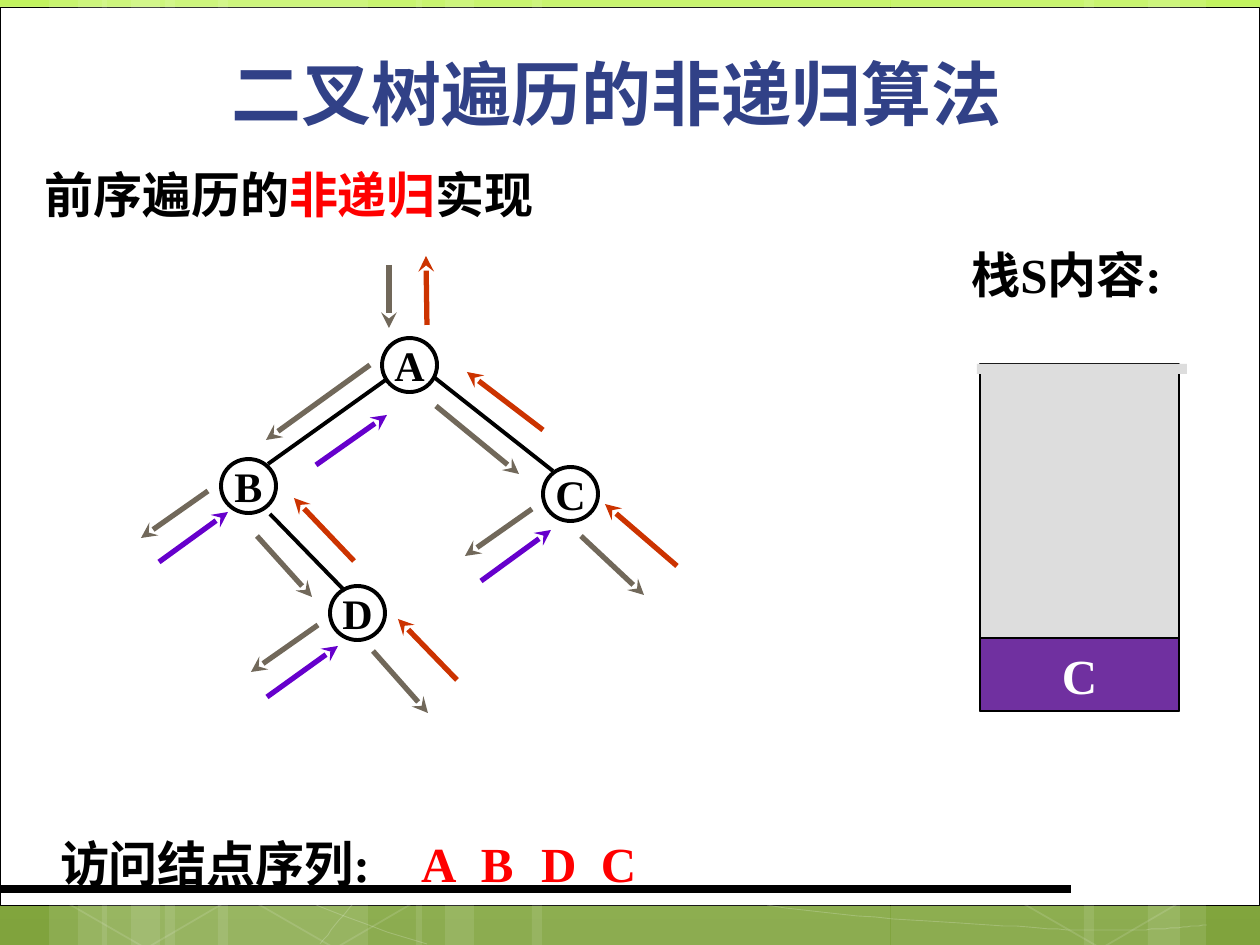
import copy

import pptx
import pptx.dml.color
import pptx.enum.shapes
import pptx.enum.text
import pptx.oxml
import pptx.oxml.ns
import pptx.util

EMU_PER_PX = 914400 / 126
COLORS = {
    "white": "FFFFFF", "black": "000000", "red": "FF0000", "title": "314187",
    "visit": "71685A", "left_back": "6600CC", "right_back": "CC3300",
    "stack": "DDDDDD", "cell": "7030A0",
    "sky": "C2F35F", "leaf": "92BE3F", "moss": "80A33D",
}
LATIN, HAN = "Times New Roman", "Noto Sans CJK SC"
SHAPE = pptx.enum.shapes.MSO_SHAPE
ALIGN = pptx.enum.text.PP_ALIGN


def px(value):
    return round(value * EMU_PER_PX)


def rgb(name):
    return pptx.dml.color.RGBColor.from_string(COLORS[name])


def add_xml(parent, tag, **attributes):
    child = parent.makeelement(pptx.oxml.ns.qn(f"a:{tag}"), attributes)
    parent.append(child)


def bezier(start, segments, steps=16):
    """Return the points after start along joined cubic curves."""
    points = []
    for x1, y1, x2, y2, x3, y3 in segments:
        corners = (start, (x1, y1), (x2, y2), (x3, y3))
        for step in range(1, steps + 1):
            t = step / steps
            weights = ((1 - t) ** 3, 3 * t * (1 - t) ** 2, 3 * t * t * (1 - t), t ** 3)
            points.append(tuple(sum(w * c[axis] for w, c in zip(weights, corners))
                                for axis in (0, 1)))
        start = (x3, y3)
    return points


class SlideBuilder:
    def __init__(self, slide):
        self.slide = slide
        self.shapes = slide.shapes

    def background(self, stops):
        fill = self.slide.background.fill
        fill.gradient()
        fill.gradient_angle = 270
        stop_list = self.slide.element.xpath(".//a:gsLst")[0]
        stop_list.append(copy.deepcopy(stop_list[0]))
        for stop, (position, color) in zip(fill.gradient_stops, stops):
            stop.position = position
            stop.color.rgb = rgb(color)

    def finish(self, shape, fill=None, line=None, width=0.75, opacity=None):
        """Set fill, outline and opacity in percent."""
        shape.shadow.inherit = False
        if fill:
            shape.fill.solid()
            shape.fill.fore_color.rgb = rgb(fill)
        else:
            shape.fill.background()
        if line:
            shape.line.color.rgb = rgb(line)
            shape.line.width = pptx.util.Pt(width)
        else:
            shape.line.fill.background()
        if opacity:
            for color in shape.element.xpath("./p:spPr//a:srgbClr"):
                add_xml(color, "alpha", val=str(opacity * 1000))
        return shape

    def shape(self, kind, at, **look):
        return self.finish(self.shapes.add_shape(kind, *map(px, at)), **look)

    def curve(self, start, segments):
        builder = self.shapes.build_freeform(*start, scale=EMU_PER_PX)
        builder.add_line_segments(bezier(start, segments), close=False)
        self.finish(builder.convert_to_shape(), line="white", width=0.5, opacity=20)

    def line(self, ends, color, width, arrow=False):
        connector = self.shapes.add_connector(
            pptx.enum.shapes.MSO_CONNECTOR.STRAIGHT, *map(px, ends))
        connector.line.color.rgb = rgb(color)
        connector.line.width = pptx.util.Pt(width)
        if arrow:
            add_xml(connector.element.xpath("./p:spPr/a:ln")[0], "tailEnd", type="stealth")
        add_xml(connector.element.spPr, "effectLst")

    def label(self, shape, spans, size, align=ALIGN.LEFT, font=LATIN, **frame_format):
        """Fill a shape with one bold paragraph of (text, colour) spans."""
        frame = shape.text_frame
        for name, value in {"word_wrap": True, **frame_format}.items():
            setattr(frame, name, value)
        para = frame.paragraphs[0]
        para.alignment = align
        for text, color in spans:
            span = para.add_run()
            span.text = text
            look = {"name": font, "size": pptx.util.Pt(size), "bold": True}
            for name, value in look.items():
                setattr(span.font, name, value)
            span.font.color.rgb = rgb(color)
            add_xml(span.font._element, "ea", typeface=HAN)

    def text(self, at, spans, size=28, **options):
        box = self.shapes.add_textbox(*map(px, at))
        self.label(box, spans, size,
                   auto_size=pptx.enum.text.MSO_AUTO_SIZE.SHAPE_TO_FIT_TEXT, **options)


STRIPS = [(165, 203), (49, 58), (78, 97), (218, 204), (102, 58), (131, 97), (891, 203),
          (1148, 58), (1084, 96), (532, 358), (416, 58), (445, 97)]
CURVES = [
    ((45, 777), [(185, 847, 325, 916, 427, 944)]),
    ((767, 905), [(862, 919, 966, 924, 1028, 927), (1090, 932, 1105, 930, 1135, 930),
                  (1164, 929, 1186, 927, 1207, 925)]),
    ((320, 944), [(340, 919, 360, 893, 389, 871)]),
]
NODES = {"A": (382, 338), "D": (330, 586), "B": (221, 459), "C": (543, 467)}
EDGES = [(387, 379, 268, 464), (435, 378, 553, 471), (270, 514, 345, 591)]
ARROWS = {
    "visit": [(389, 265, 389, 328), (370, 365, 266, 440), (208, 491, 141, 538),
              (257, 536, 312, 597), (373, 651, 428, 713), (436, 406, 519, 474),
              (532, 509, 465, 556), (318, 625, 251, 672), (581, 536, 644, 595)],
    "left_back": [(316, 465, 387, 415), (159, 562, 228, 512), (481, 581, 551, 530),
                  (267, 697, 338, 646)],
    "right_back": [(457, 680, 398, 619), (354, 561, 294, 498), (543, 430, 467, 372),
                   (427, 325, 426, 256), (677, 566, 605, 504)],
}


def draw_backdrop(page):
    page.background([(0, "sky"), (0.62, "leaf"), (1, "moss")])
    page.shape(SHAPE.RECTANGLE, (0, 7, 1260, 898), fill="white", line="black", width=0.5)
    for left, width in STRIPS:
        page.shape(SHAPE.RECTANGLE, (left, 0, width, 945), fill="white", opacity=10)
    for start, segments in CURVES:
        page.curve(start, segments)
    for left in (52, 241, 1007):
        hexagon = page.shape(SHAPE.HEXAGON, (left, 746, 203, 192),
                             line="white", width=1, opacity=12)
        hexagon.rotation = 30
        hexagon.adjustments[0] = 0.285
    page.line((0, 889, 1071, 889), "black", 4.5)


def draw_tree(page):
    for name, (left, top) in NODES.items():
        node = page.shape(SHAPE.OVAL, (left, top, 55, 54), line="black", width=2.25)
        page.label(node, [(name, "black")], 24, align=ALIGN.CENTER, margin_left=0,
                   margin_right=0, margin_top=0, margin_bottom=0)
    for ends in EDGES:
        page.line(ends, "black", 2.25)
    for color, arrows in ARROWS.items():
        for ends in arrows:
            page.line(ends, color, 3, arrow=True)


def draw_stack(page):
    page.text((959, 238, 231, 72), [("栈S内容:", "black")])
    page.shape(SHAPE.RECTANGLE, (980, 364, 199, 347), fill="stack", line="black")
    page.shape(SHAPE.RECTANGLE, (977, 364, 210, 10), fill="stack")
    cell = page.shape(SHAPE.RECTANGLE, (980, 638, 199, 73), fill="cell", line="black")
    page.label(cell, [("C", "white")], 28, align=ALIGN.CENTER)


def main():
    deck = pptx.Presentation()
    deck.slide_width, deck.slide_height = px(1260), px(945)
    page = SlideBuilder(deck.slides.add_slide(deck.slide_layouts[6]))
    draw_backdrop(page)
    page.text((131, 44, 971, 97), [("二叉树遍历的非递归算法", "title")], 40,
              align=ALIGN.CENTER)
    page.text((32, 158, 640, 72),
              [("前序遍历的", "black"), ("非递归", "red"), ("实现", "black")], font=HAN)
    draw_tree(page)
    draw_stack(page)
    flush = {"margin_left": 0, "margin_right": 0}
    page.text((60, 827, 336, 72), [("访问结点序列:", "black")], **flush)
    for index, name in enumerate("ABDC"):
        page.text((421 + 60 * index, 827, 42, 72), [(name, "red")], **flush)
    deck.save("out.pptx")


if __name__ == "__main__":
    main()
